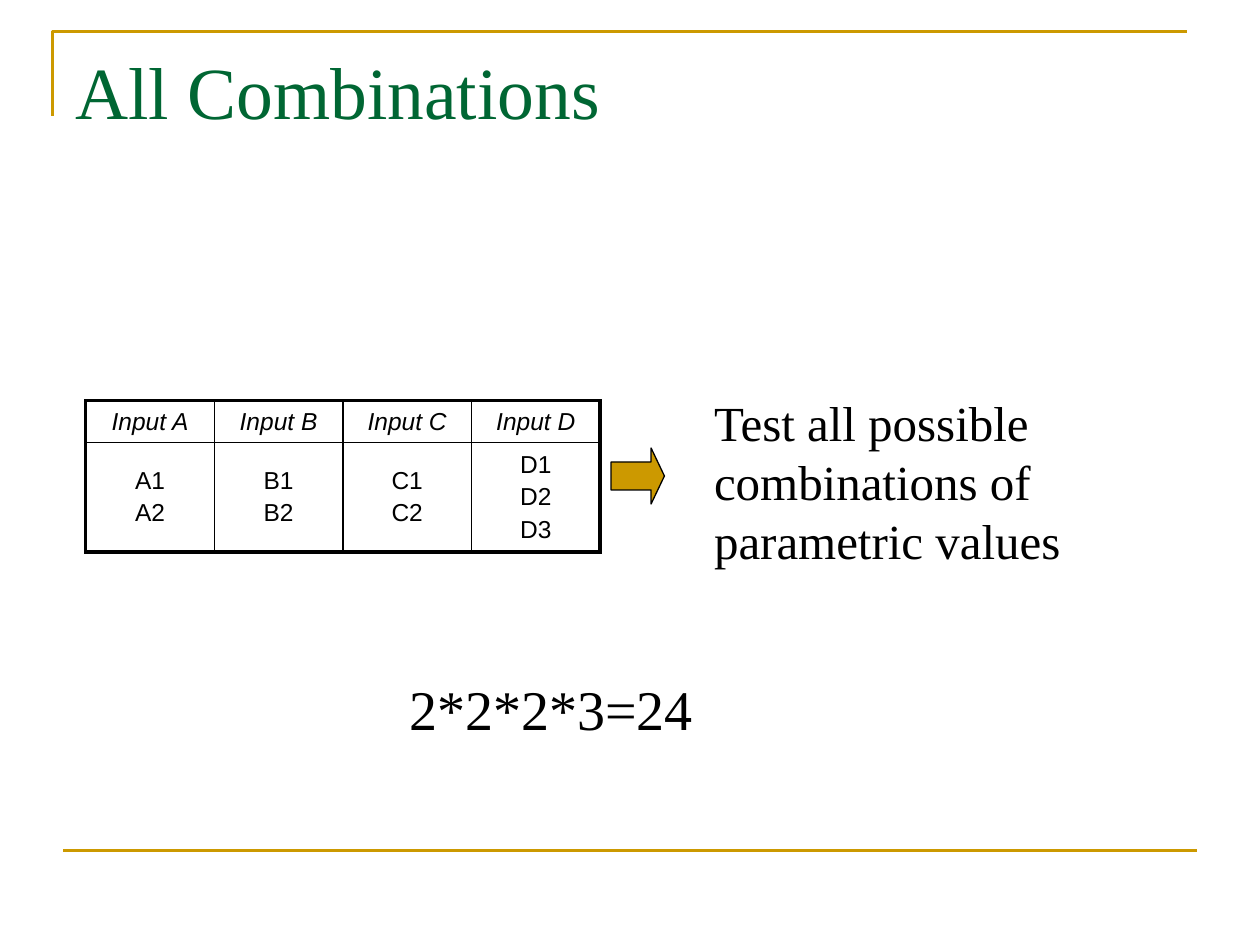
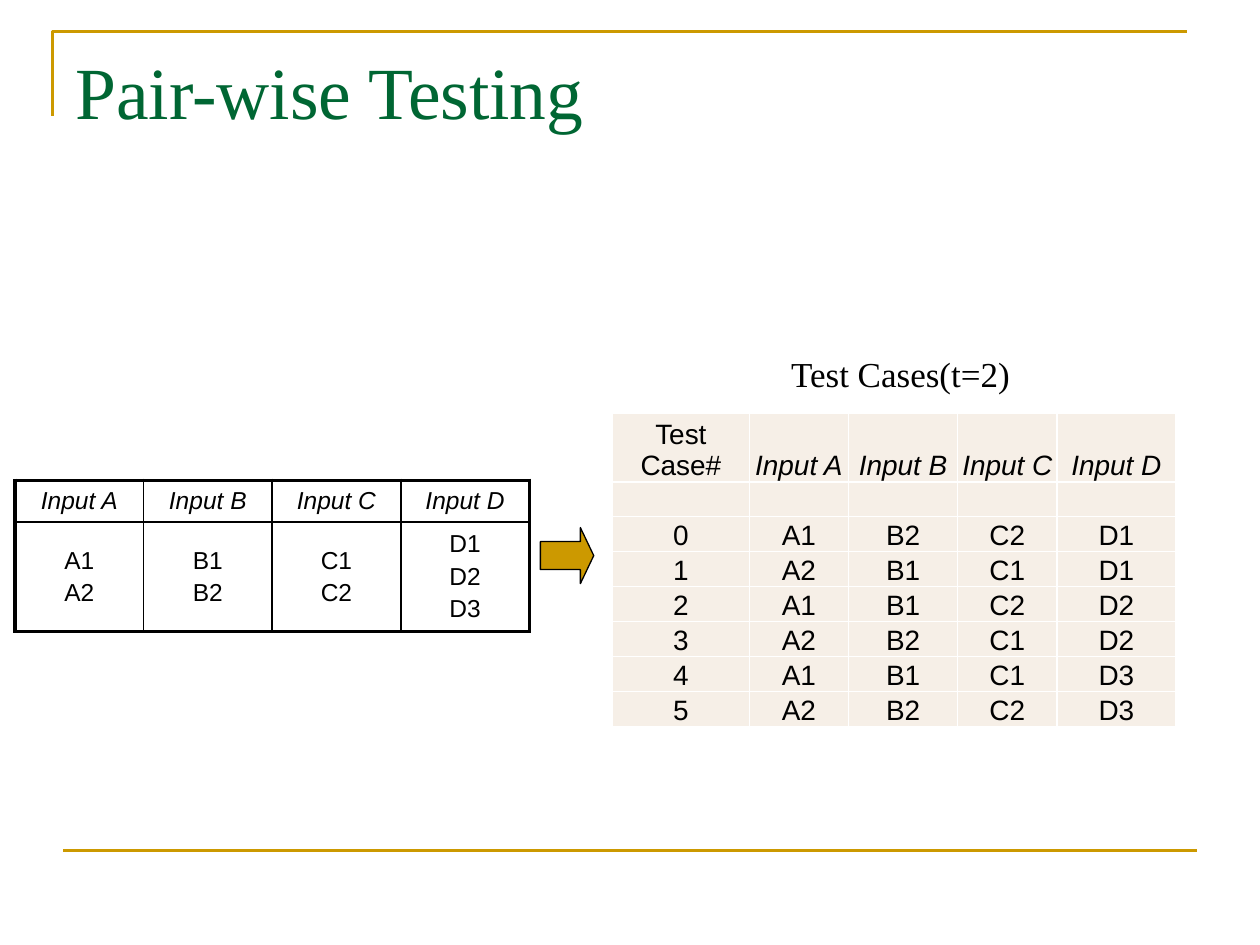
"""Builds two slides on combining test inputs: all combinations and pair-wise testing."""
from lxml.etree import SubElement
from pptx import Presentation
from pptx.dml.color import RGBColor
from pptx.enum.shapes import MSO_CONNECTOR, MSO_SHAPE
from pptx.enum.text import MSO_ANCHOR, PP_ALIGN
from pptx.oxml.ns import qn
from pptx.util import Pt

GOLD, GREEN, BLACK, WHITE, CREAM = "CC9900", "006633", "000000", "FFFFFF", "F6EFE7"
SERIF, SANS = "Times New Roman", "Arial"

INPUTS = [
    ["Input A", "Input B", "Input C", "Input D"],
    ["A1\nA2", "B1\nB2", "C1\nC2", "D1\nD2\nD3"],
]
TEST_CASES = [
    ["Test Case#", *INPUTS[0]],
    [""] * 5,
    ["0", "A1", "B2", "C2", "D1"],
    ["1", "A2", "B1", "C1", "D1"],
    ["2", "A1", "B1", "C2", "D2"],
    ["3", "A2", "B2", "C1", "D2"],
    ["4", "A1", "B1", "C1", "D3"],
    ["5", "A2", "B2", "C2", "D3"],
]
SLIDES = [
    {
        "title": "All Combinations",
        "title_height": 61,
        "inputs_at": (49, 229),
        "texts": [
            ("Test all possible combinations of parametric values", 28, (401, 219.6, 273.6, 108.7), True),
            ("2*2*2*3=24", 32, (226.8, 380.9, 186.5, 46), False),
        ],
    },
    {
        "title": "Pair-wise Testing",
        "title_height": 90,
        "inputs_at": (8.6, 274.5),
        "texts": [("Test Cases(t=2)", 20, (445, 196.6, 140.4, 31.7), False)],
        "cases_at": (350, 236.2),
    },
]


def rgb(value):
    return RGBColor.from_string(value)


def style_run(r, font, size, color, italic=False):
    r.font.name, r.font.size = font, Pt(size)
    r.font.color.rgb = rgb(color)
    r.font.bold, r.font.italic = False, italic


def add_text(s, text, size, box, wrap=True, color=BLACK):
    tf = s.shapes.add_textbox(*map(Pt, box)).text_frame
    tf.word_wrap = wrap
    tf.margin_top = Pt(4.8)
    tf.text = text
    p = tf.paragraphs[0]
    p.line_spacing = Pt(round(size * 1.2, 1))
    style_run(p.runs[0], SERIF, size, color)


def add_frame(s):
    builder = s.shapes.build_freeform(Pt(30.2), Pt(66.2))
    builder.add_line_segments([(Pt(30.2), Pt(18)), (Pt(678.2), Pt(18))], close=False)
    corner = builder.convert_to_shape()
    corner.fill.background()
    corner.shadow.inherit = False
    rule = s.shapes.add_connector(MSO_CONNECTOR.STRAIGHT, Pt(36), Pt(486), Pt(684), Pt(486))
    SubElement(rule._element.spPr, qn("a:effectLst"))
    for sp in (corner, rule):
        sp.line.color.rgb = rgb(GOLD)
        sp.line.width = Pt(1.5)


def add_arrow(s, left, top):
    sp = s.shapes.add_shape(MSO_SHAPE.RIGHT_ARROW, Pt(left), Pt(top), Pt(30.5), Pt(32))
    sp.adjustments[0], sp.adjustments[1] = 0.5, 0.25
    sp.shadow.inherit = False
    sp.fill.solid()
    sp.fill.fore_color.rgb = rgb(GOLD)
    sp.line.color.rgb = rgb(BLACK)
    sp.line.width = Pt(0.75)


def set_borders(cell, color, widths):
    tc_pr = cell._tc.get_or_add_tcPr()
    for side, width in zip("LRTB", widths):
        ln = SubElement(tc_pr, qn(f"a:ln{side}"), w=str(Pt(width)))
        fill = SubElement(ln, qn("a:solidFill"))
        SubElement(fill, qn("a:srgbClr"), val=color)


def add_table(s, rows, at, widths, heights, size, anchor, margins,
              color, outer, fill=None, space=0):
    last_row, last_col = len(rows) - 1, len(widths) - 1
    frame = s.shapes.add_table(len(rows), len(widths), *map(Pt, at),
                               Pt(sum(widths)), Pt(sum(heights)))
    table = frame.table
    table.first_row = table.horz_banding = False
    for col, width in zip(table.columns, widths):
        col.width = Pt(width)
    for row, height in zip(table.rows, heights):
        row.height = Pt(height)
    for i, row in enumerate(rows):
        for j, text in enumerate(row):
            cell = table.cell(i, j)
            edges = (j == 0, j == last_col, i == 0, i == last_row)
            set_borders(cell, color, [outer if edge else 1 for edge in edges])
            if fill:
                cell.fill.solid()
                cell.fill.fore_color.rgb = rgb(fill)
            else:
                cell.fill.background()
            cell.vertical_anchor = anchor
            (cell.margin_left, cell.margin_top,
             cell.margin_right, cell.margin_bottom) = map(Pt, margins)
            cell.text_frame.text = text
            for k, p in enumerate(cell.text_frame.paragraphs):
                p.alignment = PP_ALIGN.CENTER
                if k and space:
                    p.space_before = Pt(space)
                for r in p.runs:
                    style_run(r, SANS, size, BLACK, text.startswith("Input"))
                if not p.runs:
                    SubElement(p._p, qn("a:endParaRPr"), sz=str(size * 100))


def add_inputs(s, left, top):
    add_table(s, INPUTS, (left, top), [73.5] * 4, [23.8, 62.6], 14, MSO_ANCHOR.MIDDLE,
              (7.2, 2.9, 7.2, 2.9), BLACK, 2.25, space=2.8)
    add_arrow(s, left + 300.2, top + 27)


def add_cases(s, at):
    add_table(s, TEST_CASES, at, [78.2, 56.7, 62.4, 56.7, 68], [38.9] + [20] * 7, 16,
              MSO_ANCHOR.BOTTOM, (0.7, 0.7, 0.7, 0), WHITE, 1, fill=CREAM)


def main():
    prs = Presentation()
    prs.slide_width, prs.slide_height = Pt(720), Pt(540)
    for content in SLIDES:
        s = prs.slides.add_slide(prs.slide_layouts[6])
        add_frame(s)
        add_text(s, content["title"], 42, (36, 21.6, 648, content["title_height"]), color=GREEN)
        add_inputs(s, *content["inputs_at"])
        for text, size, box, wrap in content["texts"]:
            add_text(s, text, size, box, wrap)
        if "cases_at" in content:
            add_cases(s, content["cases_at"])
    prs.save("out.pptx")


if __name__ == "__main__":
    main()
